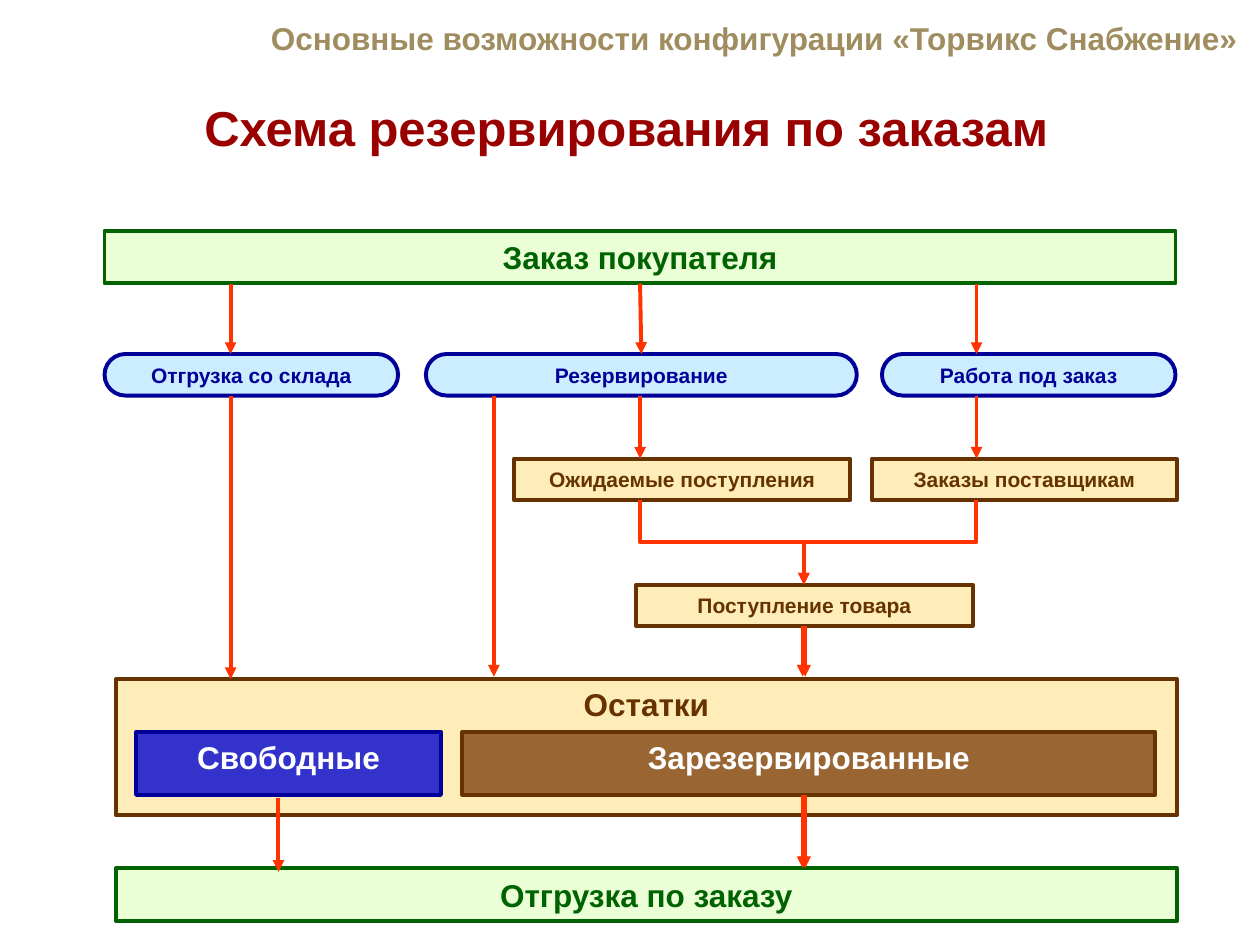
import pptx
import pptx.util
import pptx.dml.color
import pptx.enum.shapes
import pptx.enum.text
import pptx.oxml
import pptx.oxml.ns
from pptx.util import Inches

RGB = pptx.dml.color.RGBColor
GREEN, MINT = RGB(0x00, 0x62, 0x00), RGB(0xEA, 0xFF, 0xD5)
NAVY, SKY, BLUE = RGB(0x00, 0x00, 0x99), RGB(0xCC, 0xEC, 0xFF), RGB(0x33, 0x33, 0xCC)
BROWN, CREAM, TAN = RGB(0x66, 0x33, 0x00), RGB(0xFE, 0xED, 0xB8), RGB(0x99, 0x66, 0x33)
WHITE, RED = RGB(0xFF, 0xFF, 0xFF), RGB(0xFF, 0x33, 0x00)
MAROON, SAND = RGB(0x99, 0x00, 0x00), RGB(0x9F, 0x8D, 0x5F)

KIND = pptx.enum.shapes.MSO_SHAPE
ALIGN = pptx.enum.text.PP_ALIGN
ANCHOR = pptx.enum.text.MSO_ANCHOR

# Edges shared by boxes and arrows, in inches
RIGHT = 9.33
ORDER, WAYS, SUPPLY, GOODS, STOCK, SHIP = 1.83, 2.81, 3.64, 4.64, 5.39, 6.89
BAR, STEP = 0.42, 0.33
STORE_X, SPLIT_X, WAIT_X, GOODS_X, BUY_X = 1.83, 3.92, 5.08, 6.38, 7.75


def write(frame, text, size, color, align=ALIGN.CENTER, anchor=ANCHOR.MIDDLE, wrap=False):
    frame.word_wrap = wrap
    frame.vertical_anchor = anchor
    par = frame.paragraphs[0]
    par.alignment = align
    run = par.add_run()
    run.text = text
    font = run.font
    font.name, font.size, font.bold = "Arial", pptx.util.Pt(size), True
    font.color.rgb = color


def add_box(slide, box, text, size, fill, edge, ink=None, kind=KIND.RECTANGLE, anchor=ANCHOR.MIDDLE):
    shape = slide.shapes.add_shape(kind, *map(Inches, box))
    shape.shadow.inherit = False
    shape.fill.solid()
    shape.fill.fore_color.rgb = fill
    shape.line.color.rgb = edge
    shape.line.width = pptx.util.Pt(2.25)
    if kind == KIND.ROUNDED_RECTANGLE:
        shape.adjustments[0] = 0.5
    write(shape.text_frame, text, size, ink or edge, anchor=anchor)
    return shape


def style_arrow(shape):
    shape.line.color.rgb = RED
    shape.line.width = pptx.util.Pt(2.25)
    props = shape._element.spPr
    head = pptx.oxml.parse_xml(
        '<a:tailEnd xmlns:a="http://schemas.openxmlformats.org/drawingml/2006/main" type="triangle"/>')
    props.find(pptx.oxml.ns.qn("a:ln")).append(head)


def add_arrow(slide, x, top, end):
    line = slide.shapes.add_connector(
        pptx.enum.shapes.MSO_CONNECTOR.STRAIGHT, Inches(x), Inches(top), Inches(x), Inches(end))
    style_arrow(line)
    line._element.spPr.append(pptx.oxml.parse_xml(
        '<a:effectLst xmlns:a="http://schemas.openxmlformats.org/drawingml/2006/main"/>'))
    return line


def add_elbow(slide, x, top, end_x, end):
    mid = (top + end) / 2
    form = slide.shapes.build_freeform(Inches(x), Inches(top))
    form.add_line_segments(
        [(Inches(a), Inches(b)) for a, b in ((x, mid), (end_x, mid), (end_x, end))], close=False)
    shape = form.convert_to_shape()
    shape.shadow.inherit = False
    shape.fill.background()
    style_arrow(shape)


def add_heads(slide, box):
    left, top, width, height = box
    # Section line
    note = slide.shapes.add_textbox(Inches(left + 0.45), Inches(top), Inches(width), Inches(0.4))
    write(note.text_frame, "Основные возможности конфигурации «Торвикс Снабжение»",
          18, SAND, ALIGN.RIGHT, wrap=True)
    # Slide title
    title = slide.shapes.title
    title.left, title.top = Inches(left), Inches(top + 0.62)
    title.width, title.height = Inches(width), Inches(height - 0.62)
    write(title.text_frame, "Схема резервирования по заказам", 28, MAROON,
          anchor=ANCHOR.TOP, wrap=True)


def add_steps(slide):
    order = add_box(slide, (0.83, ORDER, RIGHT - 0.83, BAR), "Заказ покупателя", 18, MINT, GREEN)
    # Three ways to fill an order
    ways = [add_box(slide, (x, WAYS, w, STEP), text, 12, SKY, NAVY, kind=KIND.ROUNDED_RECTANGLE)
            for x, w, text in ((0.83, 2.33, "Отгрузка со склада"),
                               (3.38, 3.42, "Резервирование"),
                               (7, 2.33, "Работа под заказ"))]
    # Supply
    for x, y, w, text in ((4.08, SUPPLY, 2.67, "Ожидаемые поступления"),
                          (6.92, SUPPLY, 2.42, "Заказы поставщикам"),
                          (5.05, GOODS, 2.67, "Поступление товара")):
        add_box(slide, (x, y, w, STEP), text, 12, CREAM, BROWN)
    return order, ways[1]


def add_stock(slide, box):
    left, top, width, height = box
    add_box(slide, box, "Остатки", 18, CREAM, BROWN, anchor=ANCHOR.TOP)
    for x, w, text, fill, edge in ((0.16, 2.42, "Свободные", BLUE, NAVY),
                                   (2.75, 5.5, "Зарезервированные", TAN, BROWN)):
        add_box(slide, (left + x, top + 0.42, w, 0.5), text, 18, fill, edge, WHITE, anchor=ANCHOR.TOP)


def add_flow(slide, order, reserve):
    # From the order to the ways
    for x in (STORE_X, BUY_X):
        add_arrow(slide, x, ORDER + BAR, WAYS)
    link = add_arrow(slide, WAIT_X, ORDER + BAR, WAYS)
    link.begin_connect(order, 2)
    link.end_connect(reserve, 0)
    # From the ways to stock and supply
    for x, end in ((STORE_X, STOCK), (SPLIT_X, STOCK - 0.02), (WAIT_X, SUPPLY), (BUY_X, SUPPLY)):
        add_arrow(slide, x, WAYS + STEP, end)
    # Both supplies merge into received goods
    for x in (WAIT_X, BUY_X):
        add_elbow(slide, x, SUPPLY + STEP, GOODS_X, GOODS)
    # Twin arrows through reserved stock
    for x in (GOODS_X - 0.01, GOODS_X + 0.01):
        add_arrow(slide, x, GOODS + STEP, STOCK - 0.02)
        add_arrow(slide, x, STOCK + 0.92, SHIP)
    add_arrow(slide, 2.21, STOCK + 0.94, SHIP + 0.03)


def main():
    deck = pptx.Presentation()
    deck.slide_width, deck.slide_height = Inches(10), Inches(7.5)
    slide = deck.slides.add_slide(deck.slide_layouts[5])
    add_heads(slide, (0.47, 0.1, 9, 1.65))
    order, reserve = add_steps(slide)
    add_stock(slide, (0.92, STOCK, 8.42, 1.08))
    add_box(slide, (0.92, SHIP, 8.42, BAR), "Отгрузка по заказу", 18, MINT, GREEN)
    add_flow(slide, order, reserve)
    deck.save("out.pptx")


if __name__ == "__main__":
    main()
